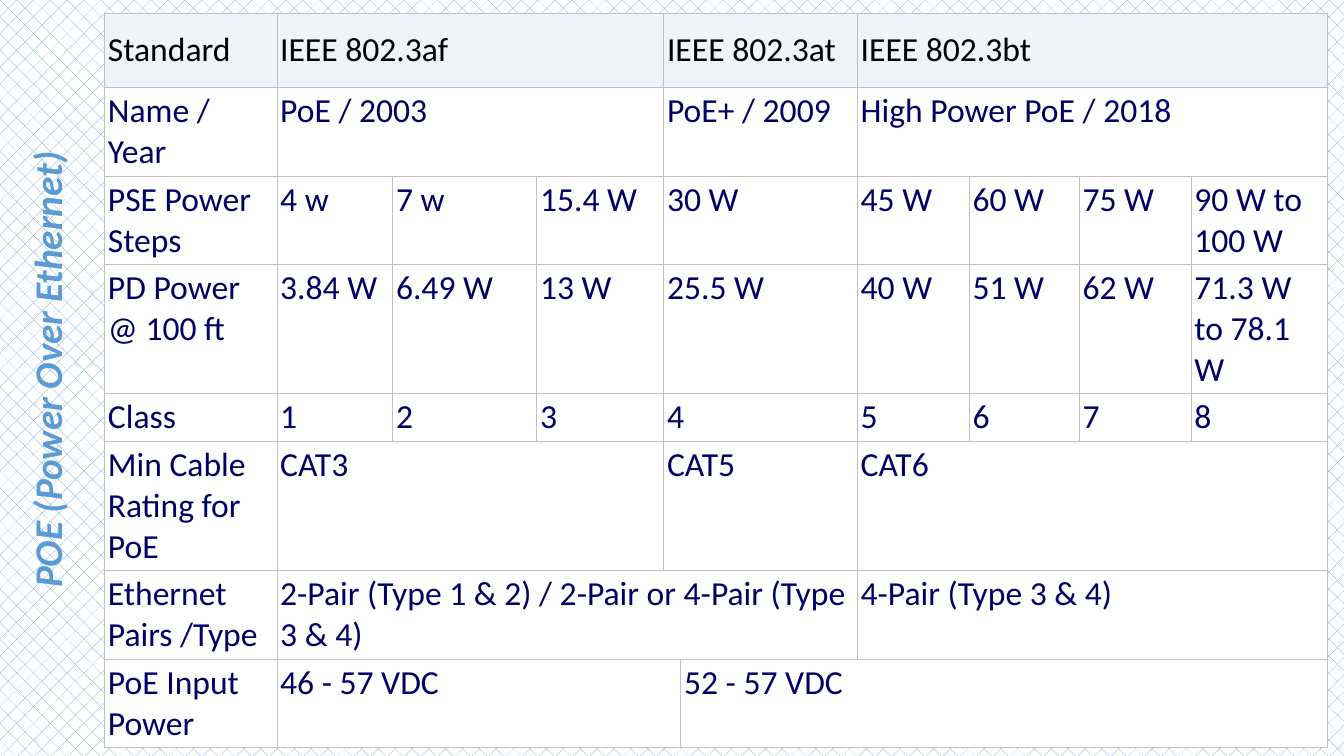
from lxml import etree
from pptx import Presentation
from pptx.dml.color import RGBColor
from pptx.enum.dml import MSO_PATTERN
from pptx.enum.text import MSO_ANCHOR, MSO_AUTO_SIZE
from pptx.oxml.ns import qn
from pptx.util import Cm, Pt

DIAMONDS = MSO_PATTERN.DOTTED_DIAMOND
MIDDLE, TOP = MSO_ANCHOR.MIDDLE, MSO_ANCHOR.TOP
FIT_SHAPE = MSO_AUTO_SIZE.SHAPE_TO_FIT_TEXT

BLUE = RGBColor(0x5B, 0x9B, 0xD5)
NAVY = RGBColor(0x00, 0x00, 0x66)
BLACK = RGBColor(0x00, 0x00, 0x00)
WHITE = RGBColor(0xFF, 0xFF, 0xFF)
PALE_BLUE = RGBColor(0xEF, 0xF3, 0xFA)
GREY = RGBColor(0xC1, 0xC1, 0xC1)

COLUMN_WIDTHS = [4.34, 2.92, 3.63, 3.2, 0.43, 4.45, 2.82, 2.77, 2.82, 3.43]

# Number of grid columns taken by each cell of a row
BY_STANDARD = [1, 3, 2, 4]
BY_CLASS = [1, 1, 1, 1, 2, 1, 1, 1, 1]
BY_PAIRS = [1, 5, 4]
BY_VOLTAGE = [1, 4, 5]

ROWS = [
    (1.88, BY_STANDARD, ["Standard", "IEEE 802.3af", "IEEE 802.3at", "IEEE 802.3bt"]),
    (1.88, BY_STANDARD, ["Name / Year", "PoE / 2003", "PoE+ / 2009",
                         "High Power PoE / 2018"]),
    (1.88, BY_CLASS, ["PSE Power Steps", "4 w", "7 w", "15.4 W", "30 W",
                      "45 W", "60 W", "75 W", "90 W to 100 W"]),
    (2.74, BY_CLASS, ["PD Power @ 100 ft", "3.84 W", "6.49 W", "13 W", "25.5 W",
                      "40 W", "51 W", "62 W", "71.3 W to 78.1 W"]),
    (1.02, BY_CLASS, ["Class", "1", "2", "3", "4", "5", "6", "7", "8"]),
    (2.74, BY_STANDARD, ["Min Cable Rating for PoE", "CAT3", "CAT5", "CAT6"]),
    (1.88, BY_PAIRS, ["Ethernet Pairs /Type",
                      "2-Pair (Type 1 & 2) / 2-Pair or 4-Pair (Type 3 & 4)",
                      "4-Pair (Type 3 & 4)"]),
    (1.88, BY_VOLTAGE, ["PoE Input Power", "46 - 57 VDC", "52 - 57 VDC"]),
]


def write_text(frame, text, color, **font_format):
    span = frame.paragraphs[0].add_run()
    span.text = text
    span.font.color.rgb = color
    for name, value in {"name": "Calibri", **font_format}.items():
        setattr(span.font, name, value)


def add_borders(cell):
    properties = cell._tc.get_or_add_tcPr()
    for side in ("a:lnL", "a:lnR", "a:lnT", "a:lnB"):
        line = etree.SubElement(properties, qn(side), w=str(Pt(0.75)))
        fill = etree.SubElement(line, qn("a:solidFill"))
        etree.SubElement(fill, qn("a:srgbClr"), val=str(GREY))


deck = Presentation()
deck.slide_width, deck.slide_height = Cm(33.87), Cm(19.05)
page = deck.slides.add_slide(deck.slide_layouts[6])

background = page.background.fill
background.patterned()
background.pattern = DIAMONDS
background.fore_color.rgb = BLUE
background.back_color.rgb = WHITE

# Table of the PoE standards
table = page.shapes.add_table(
    len(ROWS), len(COLUMN_WIDTHS), Cm(2.64), Cm(0.33),
    Cm(sum(COLUMN_WIDTHS)), Cm(sum(height for height, _, _ in ROWS))).table
table.horz_banding = False
for column, width in zip(table.columns, COLUMN_WIDTHS):
    column.width = Cm(width)

for row_index, (height, column_counts, texts) in enumerate(ROWS):
    table.rows[row_index].height = Cm(height)
    is_header = row_index == 0
    cell_format = {
        "vertical_anchor": MIDDLE if is_header else TOP,
        "margin_left": Cm(0.08), "margin_right": Cm(0.08),
        "margin_top": Cm(0.08), "margin_bottom": Cm(0.08),
    }
    for cell in table.rows[row_index].cells:
        add_borders(cell)
        cell.fill.solid()
        cell.fill.fore_color.rgb = PALE_BLUE if is_header else WHITE
        for name, value in cell_format.items():
            setattr(cell, name, value)

    start = 0
    for count, text in zip(column_counts, texts):
        cell = table.cell(row_index, start)
        if count > 1:
            cell.merge(table.cell(row_index, start + count - 1))
        write_text(cell.text_frame, text, BLACK if is_header else NAVY,
                   size=Pt(24), bold=False)
        start += count

# Title running up the left edge
title_box = page.shapes.add_textbox(Cm(-8.51), Cm(4.65), Cm(19.38), Cm(1.45))
title_box.rotation = 270
title_box.text_frame.word_wrap = True
title_box.text_frame.auto_size = FIT_SHAPE
write_text(title_box.text_frame, "POE (Power Over Ethernet)", BLUE,
           size=Pt(28), bold=True, italic=True)

deck.save("out.pptx")
